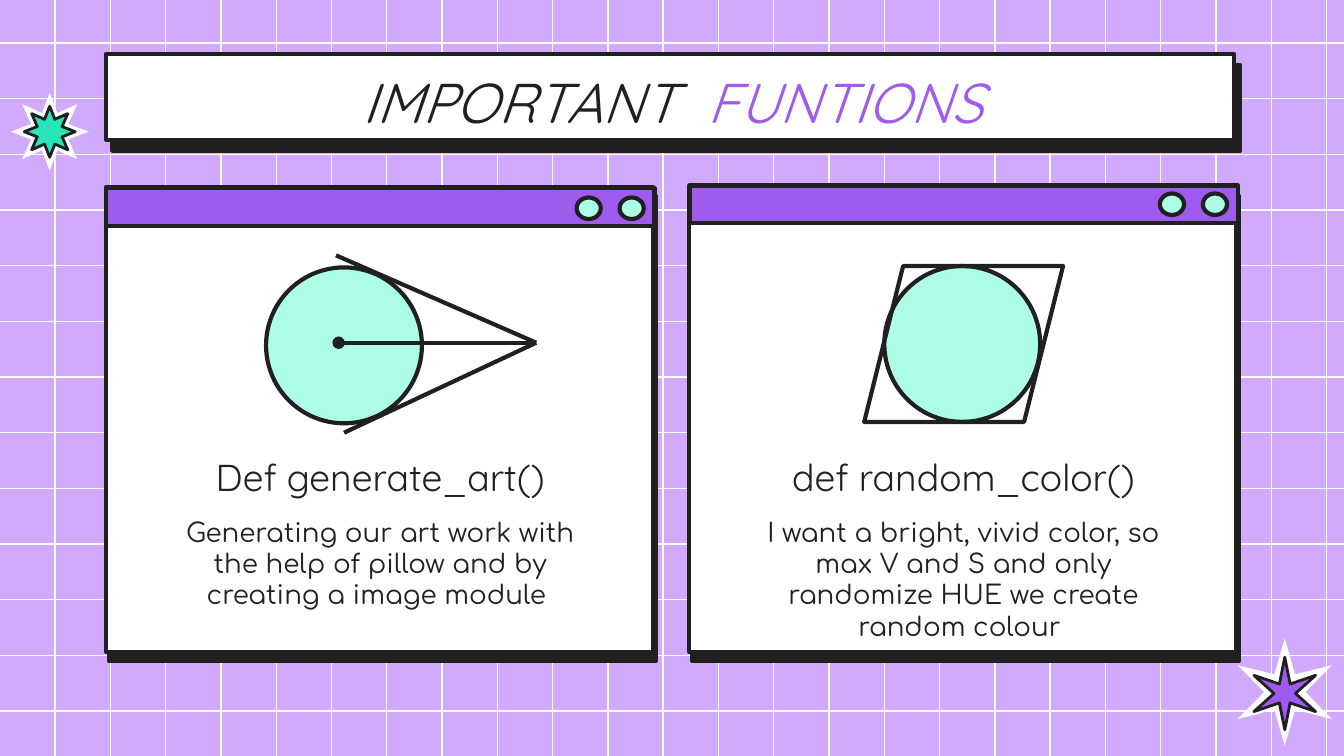
from math import cos, pi, sin

from lxml import etree
from pptx import Presentation
from pptx.dml.color import RGBColor
from pptx.enum.shapes import MSO_CONNECTOR, MSO_SHAPE
from pptx.enum.text import MSO_ANCHOR, PP_ALIGN
from pptx.oxml.ns import qn
from pptx.util import Inches, Pt

RECT, OVAL = MSO_SHAPE.RECTANGLE, MSO_SHAPE.OVAL
PARALLELOGRAM, STAR_6 = MSO_SHAPE.PARALLELOGRAM, MSO_SHAPE.STAR_6_POINT
STRAIGHT = MSO_CONNECTOR.STRAIGHT
CENTER, TOP = PP_ALIGN.CENTER, MSO_ANCHOR.TOP

THEME = {
    "lilac": "D1AAFD", "purple": "9E5BEE", "mint": "ADFEE7", "green": "28E4B7",
    "ink": "202020", "white": "FFFFFF", "halo": "FCFCFC",
    "heading_font": "Quicksand", "body_font": "Comfortaa",
    "title_size": 30, "heading_size": 20, "body_size": 14,
    "outline": 2.25, "star_outline": 1.5, "grid_line": 0.75,
}

WIDTH = 10
HEIGHT = WIDTH * 9 / 16
GRID_ROWS = (0.32, 5.29, 13)
GRID_COLUMNS = (0.41, 9.87, 24)

TITLE = [("IMPORTANT ", "ink"), (" FUNTIONS", "purple")]
WINDOWS = [
    {"left": 0.79, "bar_top": 1.4, "button_top": 1.47,
     "heading": "Def generate_art()",
     "body": "Generating our art work with the help of pillow and by creating a image module "},
    {"left": 5.13, "bar_top": 1.38, "button_top": 1.44,
     "heading": "def random_color()",
     "body": "I want a bright, vivid color, so max V and S and only randomize HUE we create random colour "},
]
BUTTON_OFFSETS = (3.5, 3.82)
TANGENT_TIP = (3.99, 2.55)
TANGENT_STARTS = [(2.5, 1.9), (2.56, 3.22)]
CIRCLE_CENTER = (2.52, 2.55)
BURST_CENTER = (0.37, 0.98)
BURSTS = [(0.29, 0.15, "halo", None), (0.19, 0.1, "green", "ink")]
SPARKLES = [
    ((9.21, 4.75, 0.7, 0.8), 0.19, "white", None),
    ((9.33, 4.89, 0.46, 0.54), 0.15, "purple", "ink"),
]


def color(name):
    return RGBColor.from_string(THEME[name])


def paint(sp, fill, line, width):
    sp.shadow.inherit = False
    if fill:
        sp.fill.solid()
        sp.fill.fore_color.rgb = color(fill)
    else:
        sp.fill.background()
    if line:
        sp.line.color.rgb = color(line)
        sp.line.width = Pt(width)
    else:
        sp.line.fill.background()


def add_box(s, kind, box, fill=None, line="ink", width=THEME["outline"], adj=None):
    sp = s.shapes.add_shape(kind, *map(Inches, box))
    paint(sp, fill, line, width)
    if adj is not None:
        sp.adjustments[0] = adj
    return sp


def add_hard_shadow(sp, distance, angle):
    effects = sp._element.spPr.find(qn("a:effectLst"))
    shadow = etree.SubElement(effects, qn("a:outerShdw"), dist=str(Pt(distance)),
                              dir=str(angle * 60000), algn="bl", rotWithShape="0")
    etree.SubElement(shadow, qn("a:srgbClr"), val=THEME["ink"])


def add_line(s, start, end, line="ink", width=THEME["outline"], tail=None):
    cxn = s.shapes.add_connector(STRAIGHT, *map(Inches, (*start, *end)))
    cxn.line.color.rgb = color(line)
    cxn.line.width = Pt(width)
    if tail:
        etree.SubElement(cxn.line._get_or_add_ln(), qn("a:tailEnd"), type=tail)
    etree.SubElement(cxn._element.spPr, qn("a:effectLst"))


def add_text(s, box, runs, size, font, italic=False):
    tf = s.shapes.add_textbox(*map(Inches, box)).text_frame
    tf.word_wrap = True
    tf.vertical_anchor = TOP
    tf.margin_left = tf.margin_right = tf.margin_top = tf.margin_bottom = Inches(0.1)
    p = tf.paragraphs[0]
    p.alignment = CENTER
    for text, ink in runs:
        r = p.add_run()
        r.text = text
        r.font.name = THEME[font]
        r.font.size = Pt(THEME[size])
        r.font.italic = italic
        r.font.color.rgb = color(ink)


def add_burst(s, center, outer, inner, fill, line):
    points = []
    for i in range(16):
        radius = inner if i % 2 else outer
        angle = i * pi / 8 - pi / 2
        points.append((Inches(center[0] + radius * cos(angle)),
                       Inches(center[1] + radius * sin(angle))))
    outline = s.shapes.build_freeform(*points[0])
    outline.add_line_segments(points[1:], close=True)
    paint(outline.convert_to_shape(), fill, line, THEME["star_outline"])


def spread(first, last, count):
    return [first + (last - first) * i / (count - 1) for i in range(count)]


def add_grid(s):
    ends = [((0, y), (WIDTH, y)) for y in spread(*GRID_ROWS)]
    ends += [((x, 0), (x, HEIGHT)) for x in spread(*GRID_COLUMNS)]
    for start, end in ends:
        add_line(s, start, end, "white", THEME["grid_line"])


def add_window(s, window):
    left = window["left"]
    panel = add_box(s, RECT, (left, 1.39, 4.07, 3.46), "white")
    add_hard_shadow(panel, 5.2, 74)
    add_box(s, RECT, (left, window["bar_top"], 4.08, 0.28), "purple")
    for offset in BUTTON_OFFSETS:
        add_box(s, OVAL, (left + offset, window["button_top"], 0.18, 0.16), "mint")
    add_text(s, (left + 0.45, 3.28, 3.18, 0.46), [(window["heading"], "ink")],
             "heading_size", "heading_font")
    add_text(s, (left + 0.45, 3.74, 3.18, 0.9), [(window["body"], "ink")],
             "body_size", "body_font")


def main():
    prs = Presentation()
    prs.slide_width, prs.slide_height = Inches(WIDTH), Inches(HEIGHT)
    s = prs.slides.add_slide(prs.slide_layouts[6])
    s.background.fill.solid()
    s.background.fill.fore_color.rgb = color("lilac")
    add_grid(s)

    for window in WINDOWS:
        add_window(s, window)

    banner = add_box(s, RECT, (0.79, 0.4, 8.39, 0.64), "white")
    add_hard_shadow(banner, 6.8, 60)
    add_text(s, (0.79, 0.4, 8.43, 0.63), TITLE, "title_size", "heading_font", italic=True)

    add_box(s, OVAL, (1.98, 1.99, 1.16, 1.16), "mint")
    for start in TANGENT_STARTS:
        add_line(s, start, TANGENT_TIP)
    add_line(s, TANGENT_TIP, CIRCLE_CENTER, tail="oval")

    add_box(s, OVAL, (6.58, 1.98, 1.16, 1.16), "mint")
    add_box(s, PARALLELOGRAM, (6.43, 1.98, 1.48, 1.16), adj=0.25)

    for burst in BURSTS:
        add_burst(s, BURST_CENTER, *burst)
    for box, adj, fill, line in SPARKLES:
        add_box(s, STAR_6, box, fill, line, THEME["star_outline"], adj)

    prs.save("out.pptx")


if __name__ == "__main__":
    main()
